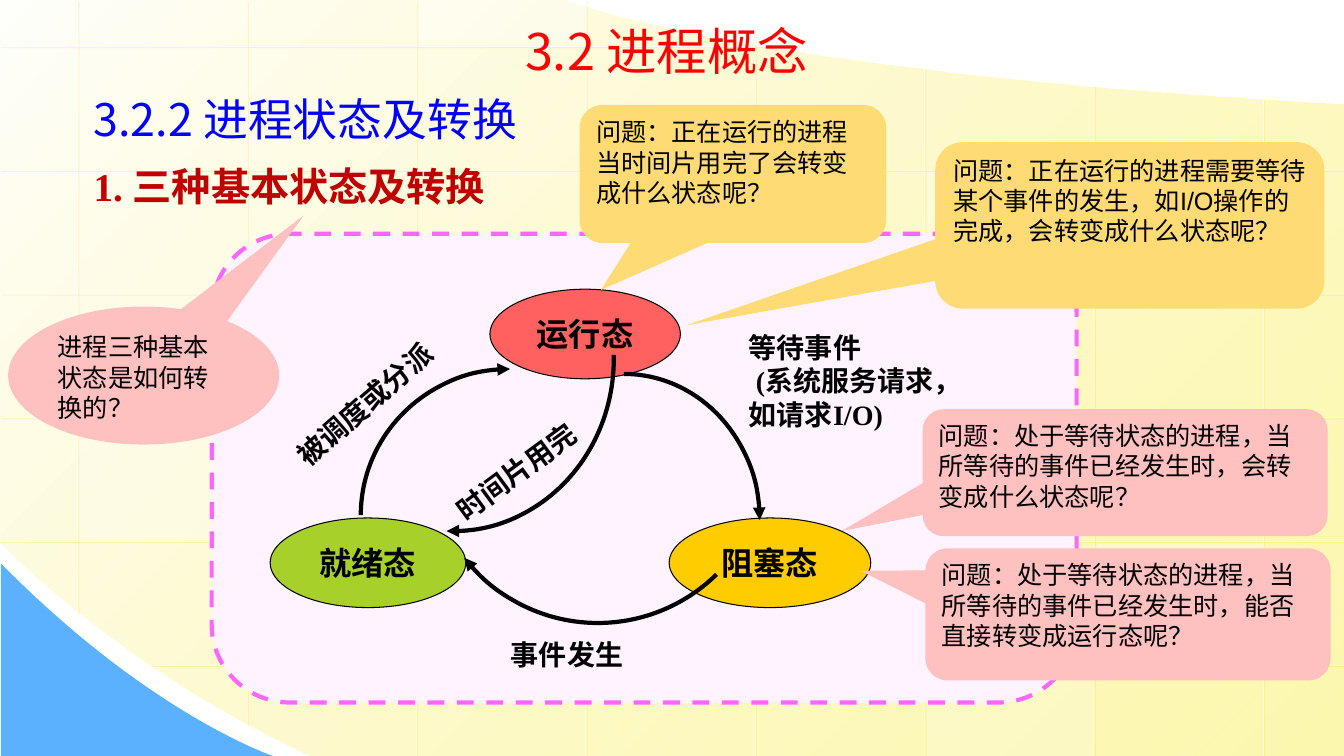
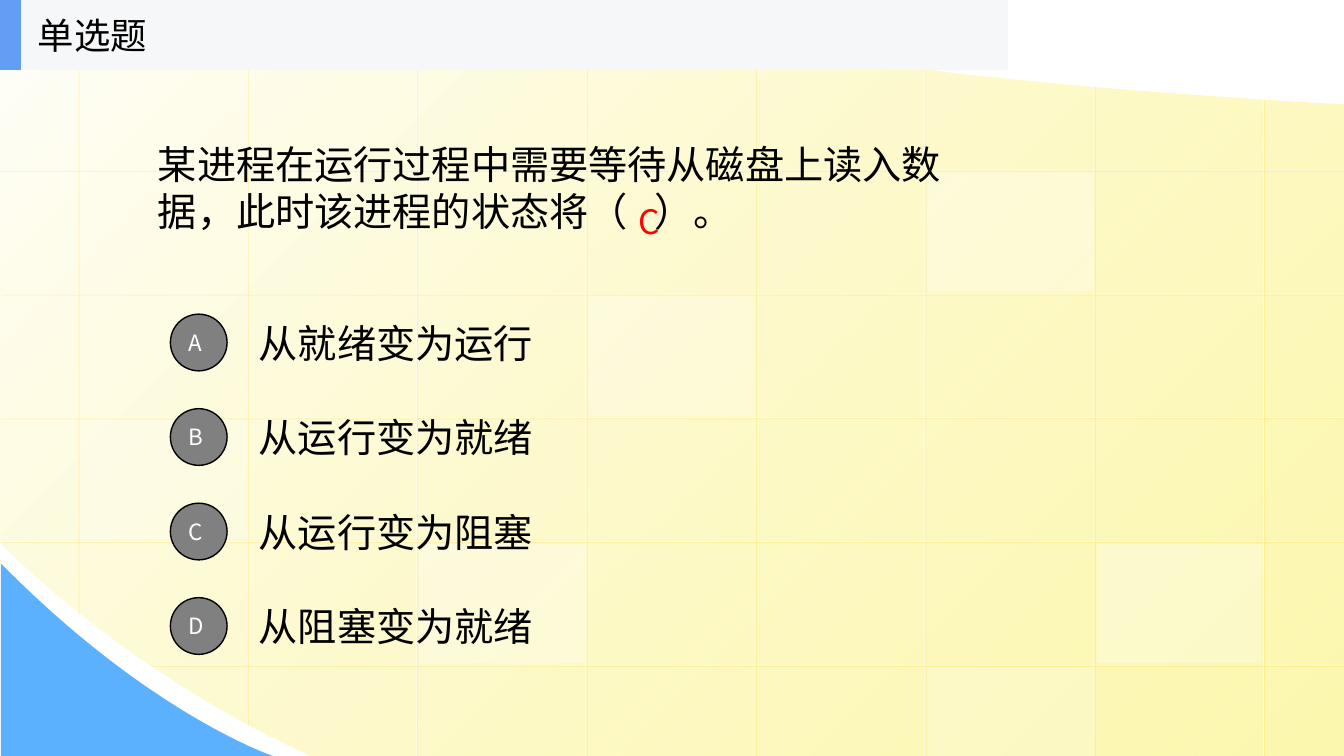
from lxml import etree
from pptx import Presentation
from pptx.dml.color import RGBColor
from pptx.enum import dml, shapes, text
from pptx.oxml import ns
from pptx.util import Pt

WIDE, HIGH = 960, 540
SANS, SERIF, PLAIN = "Noto Sans CJK SC", "Times New Roman", "Arial"
BLACK, WHITE, RED = "000000", "FFFFFF", "FF0000"
FORM = shapes.MSO_SHAPE


def tint(fill, shade):
    fill.solid()
    fill.fore_color.rgb = RGBColor.from_string(shade)


def put(page, form, box, fill=None, line=None, width=1, words="", size=18,
        face=SANS, ink=BLACK, bold=False, mid=True, wrap=True, center=False,
        pad=(7.2, 3.6, 7.2, 3.6)):
    """Add a preset shape, or a text box when form is None."""
    area = [Pt(n) for n in box]
    if form is None:
        item = page.shapes.add_textbox(*area)
    else:
        item = page.shapes.add_shape(form, *area)
        item.shadow.inherit = False
        if fill:
            tint(item.fill, fill)
        else:
            item.fill.background()
        if line:
            tint(item.line.fill, line)
            item.line.width = Pt(width)
        else:
            item.line.fill.background()
    if words:
        frame = item.text_frame
        frame.text = words
        frame.word_wrap = wrap
        frame.vertical_anchor = text.MSO_ANCHOR.MIDDLE if mid else text.MSO_ANCHOR.TOP
        (frame.margin_left, frame.margin_top,
         frame.margin_right, frame.margin_bottom) = [Pt(n) for n in pad]
        for para in frame.paragraphs:
            para.alignment = text.PP_ALIGN.CENTER if center else text.PP_ALIGN.LEFT
            for run in para.runs:
                run.font.size, run.font.name, run.font.bold = Pt(size), face, bold
                tint(run.font.fill, ink)
    return item


deck = Presentation()
deck.slide_width, deck.slide_height = Pt(WIDE), Pt(HIGH)
blank = deck.slide_layouts[6]
pages = [deck.slides.add_slide(blank) for _ in range(2)]
flow, quiz = pages

# Shared background: outlines as lists of corners and Bezier curves
FIELD = [[(WIDE, 75)], [(WIDE, HIGH)], [(221, HIGH)],
         [(221, HIGH), (83, 476), (0, 388), (0, 388)],
         [(0, 0)], [(404, 0)],
         [(404, 0), (404, 0), (515, 50), (WIDE, 75)]]
CORNER = [[(0.7, 402.5)], [(0.7, HIGH)], [(195, HIGH)],
          [(195, HIGH), (195, HIGH), (107, 510.5), (0.7, 402.5)]]
# Shared grid: pitch, first line, and the extent of each line
STEP_X, STEP_Y, GRID_X, GRID_Y = 121, 88.4, 55.4, 33.1
TOPS = [0, 0, 0, 0, 31, 49, 61, 70.6]
FEET = [438.5, 517.7] + [HIGH] * 6
LEFTS = [0] * 5 + [106.6]
RIGHTS = [545] + [WIDE] * 5
grid = [(GRID_X + STEP_X * i, top, GRID_X + STEP_X * i, foot)
        for i, (top, foot) in enumerate(zip(TOPS, FEET))]
grid += [(right, GRID_Y + STEP_Y * i, left, GRID_Y + STEP_Y * i)
         for i, (left, right) in enumerate(zip(LEFTS, RIGHTS))]
# Pale cells: column, row, opacity in percent; the quiz has two more
CELLS = [(6, 4, 30), (0, 3, 20), (5, 5, 20), (2, -1, 40), (5, 1, 30)]
MORE = [(3, 2, 25), (2, 4, 30)]

for page, cells in zip(pages, (CELLS, CELLS + MORE)):
    for outline in (FIELD, CORNER):
        dots = []
        for part in outline:
            if len(part) == 1:
                dots += part
                continue
            for k in range(1, 41):
                t = k / 40
                mix = ((1 - t) ** 3, 3 * t * (1 - t) ** 2, 3 * t * t * (1 - t), t ** 3)
                dots.append(tuple(sum(m * p[a] for m, p in zip(mix, part))
                                  for a in (0, 1)))
        pen = page.shapes.build_freeform(*[Pt(n) for n in dots[0]])
        pen.add_line_segments([(Pt(x), Pt(y)) for x, y in dots[1:]], close=True)
        land = pen.convert_to_shape()
        land.shadow.inherit = False
        land.line.fill.background()
        if outline is CORNER:
            tint(land.fill, "5CB1FE")
            continue
        land.fill.gradient()
        land.fill.gradient_angle = 315
        for stop, shade, spot in zip(land.fill.gradient_stops,
                                     ("FFFFFB", "FDF58D"), (0, 1)):
            stop.color.rgb = RGBColor.from_string(shade)
            stop.position = spot
        last = list(land.element.spPr.iter(ns.qn("a:srgbClr")))[-1]
        etree.SubElement(last, ns.qn("a:alpha"), val="70000")

    for ends in grid:
        rule = page.shapes.add_connector(shapes.MSO_CONNECTOR.STRAIGHT,
                                         *[Pt(n) for n in ends])
        tint(rule.line.fill, WHITE)
        rule.line.width = Pt(0.75)
        glow = etree.SubElement(rule.element.spPr, ns.qn("a:effectLst"))
        cast = etree.SubElement(glow, ns.qn("a:outerShdw"), blurRad="0",
                                dist=str(int(Pt(1.4))), dir="2700000")
        etree.SubElement(cast, ns.qn("a:srgbClr"), val="FFCC00")
        nodes = list(rule.element.spPr.iter(ns.qn("a:srgbClr")))
        for node, part in zip(nodes, (50, 34)):
            etree.SubElement(node, ns.qn("a:alpha"), val=str(part * 1000))

    for col, row, part in cells:
        top = 35 + STEP_Y * row
        foot = min(top + 85, HIGH)
        top = max(top, 0)
        cell = put(page, FORM.RECTANGLE,
                   (57.6 + STEP_X * col, top, 118, foot - top), WHITE)
        node = cell.element.spPr.find(".//" + ns.qn("a:srgbClr"))
        etree.SubElement(node, ns.qn("a:alpha"), val=str(part * 1000))

# Slide 1: panel and the three states
panel = put(flow, FORM.ROUNDED_RECTANGLE, (151.2, 167, 617.8, 334.8),
            "FFF3FF", "FF66FF", 3)
panel.line.dash_style = dml.MSO_LINE.DASH
SLIM = (5, 2.2, 5, 2.2)
for words, box, fill in [("运行态", (350, 206.6, 136, 64), "FF6161"),
                         ("就绪态", (193, 370, 139.7, 64), "A8D02A"),
                         ("阻塞态", (478, 370, 144, 64), "FFCC00")]:
    put(flow, FORM.OVAL, box, fill, BLACK, 0.75, words, 23, SERIF, bold=True,
        wrap=False, center=True, pad=SLIM)

# Transition arcs: centre, radii, start and end angle (clockwise)
for x, y, wide, high, start, end in [(445.7, 371.5, 97, 104.4, 270, 0),
                                     (364.3, 368, 106.6, 104.4, 180, 270),
                                     (323.3, 256.3, 115.2, 123.1, 358.6, 92),
                                     (427, 324, 121, 121, 45.5, 142)]:
    arc = put(flow, FORM.ARC, (x - wide, y - high, 2 * wide, 2 * high), None, BLACK, 3)
    arc.adjustments[0], arc.adjustments[1] = start * 0.6, end * 0.6
    etree.SubElement(arc.element.spPr.find(ns.qn("a:ln")), ns.qn("a:tailEnd"),
                     type="triangle")

# Transition labels: text, box, turn, left inset
for words, box, turn, inset in [
        ("等待事件\n (系统服务请求，\n如请求I/O)", (530, 234.7, 149, 74.2), 0, 5),
        ("被调度或分派", (179.3, 263.5, 172, 41.8), 319, 19.3),
        ("时间片用完", (299.5, 313.2, 132.5, 51.8), 323.5, 20),
        ("事件发生", (355, 445.7, 141.8, 43.9), 0, 10)]:
    label = put(flow, None, box, words=words, size=20, face=SERIF, bold=True,
                wrap=False, pad=(inset,) + SLIM[1:])
    label.rotation = turn

# Headings
put(flow, None, (368, 0.7, 276.5, 70.6), words="3.2 进程概念", size=36, ink=RED)
put(flow, None, (59.8, 51, 419.8, 67.7), words="3.2.2 进程状态及转换",
    size=32, ink="0000FF")
put(flow, None, (59.8, 112.3, 339.8, 41), words="1. 三种基本状态及转换",
    size=28, face=SERIF, ink="C00000", bold=True, mid=False)

# Question callouts: shape, box, pointer, fill, text
TALK, BUBBLE = FORM.ROUNDED_RECTANGULAR_CALLOUT, FORM.OVAL_CALLOUT
GOLD, PINK = "FFDB75", "FFC0C0"
for form, box, tip, fill, words in [
        (TALK, (414, 75, 219, 98.6), (-0.43, 0.84), GOLD,
         "问题：正在运行的进程当时间片用完了会转变成什么状态呢？"),
        (TALK, (668, 101.5, 278, 119), (-1.14, 0.6), GOLD,
         "问题：正在运行的进程需要等待某个事件的发生，如I/O操作的完成，会转变成什么状态呢？"),
        (TALK, (659, 292.3, 289.4, 90.7), (-0.7, 0.46), PINK,
         "问题：处于等待状态的进程，当所等待的事件已经发生时，会转变成什么状态呢？"),
        (TALK, (661, 391.7, 289.4, 94.3), (-0.66, -0.33), PINK,
         "问题：处于等待状态的进程，当所等待的事件已经发生时，能否直接转变成运行态呢？"),
        (BUBBLE, (5.8, 219, 193.7, 98.6), (0.59, -1.16), PINK,
         "进程三种基本状态是如何转换的？")]:
    note = put(flow, form, box, fill, words=words, face=PLAIN, mid=False)
    note.adjustments[0], note.adjustments[1] = tip

# Slide 2: question and choices
put(quiz, None, (105.8, 49.7, 576, 168.5), size=28,
    words="某进程在运行过程中需要等待从磁盘上读入数据，此时该进程的状态将（   ）。")
CHOICES = ["从就绪变为运行", "从运行变为就绪", "从运行变为阻塞", "从阻塞变为就绪"]
for i, (mark, words) in enumerate(zip("ABCD", CHOICES)):
    top = 219.6 + 67.5 * i
    put(quiz, None, (177.8, top, 504, 50.4), words=words, size=28)
    put(quiz, FORM.OVAL, (121.7, top + 4.8, 40.5, 40.5), "808080", BLACK, 1,
        mark, 16, ink=WHITE)

# Header band and answer
put(quiz, FORM.RECTANGLE, (0, 0, 720, 50), "F6F7F8")
put(quiz, FORM.RECTANGLE, (0, 0, 15, 50), "639EF4")
put(quiz, None, (20, 0, 150, 50), words="单选题", size=26, wrap=False)
put(quiz, None, (449.3, 139.7, 65.5, 36), words="C", size=24, ink=RED, mid=False)

deck.save("out.pptx")
